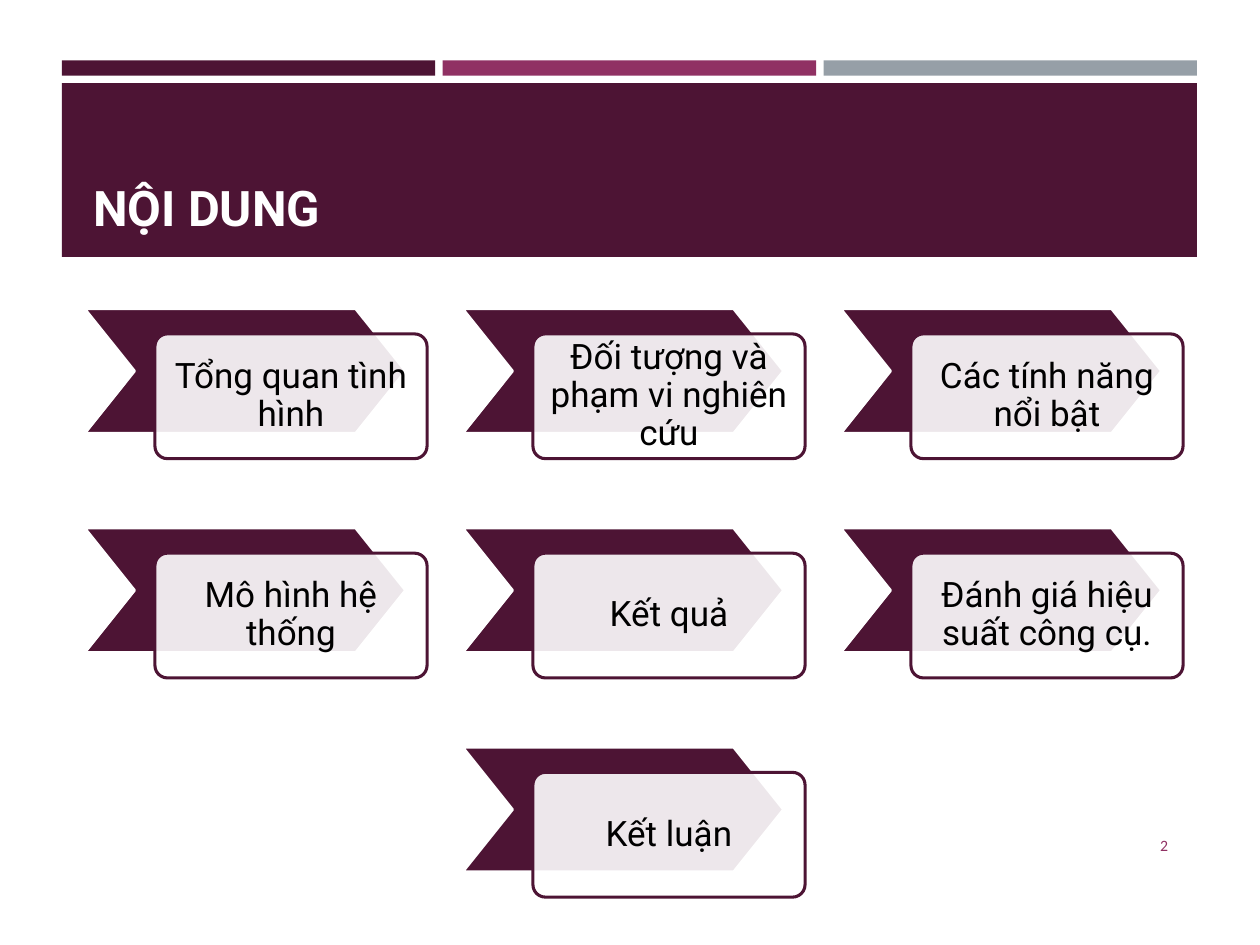
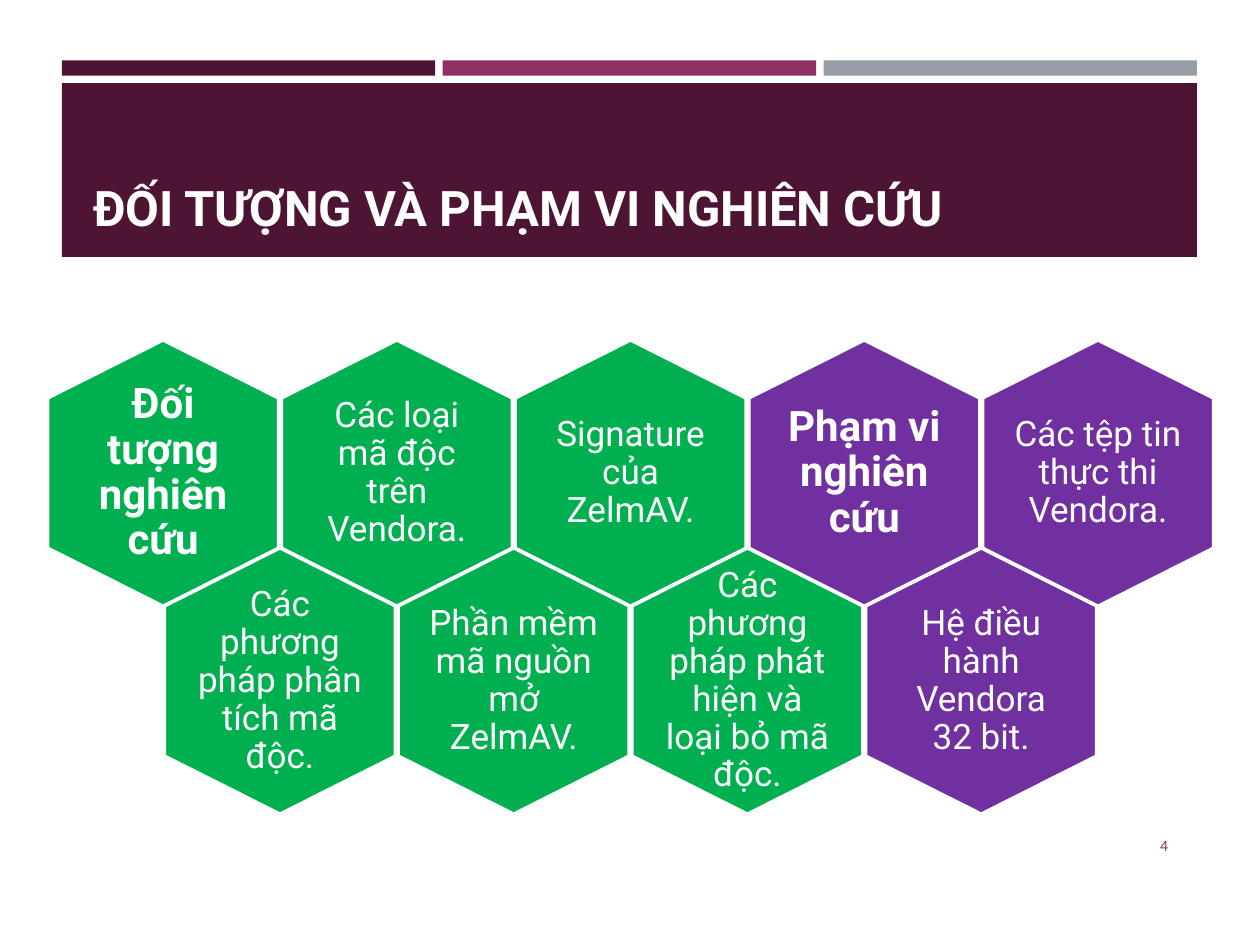
from dataclasses import dataclass

from lxml.etree import SubElement
from pptx import Presentation
from pptx.dml.color import RGBColor
from pptx.enum.shapes import MSO_SHAPE
from pptx.enum.text import MSO_ANCHOR, MSO_AUTO_SIZE, PP_ALIGN
from pptx.oxml.ns import qn
from pptx.util import Inches, Pt

COLORS = {
    "plum": "4D1434",
    "berry": "903163",
    "gray": "969FA7",
    "green": "00B050",
    "purple": "7030A0",
    "white": "FFFFFF",
    "black": "000000",
}
HEADING_FONT = "Roboto"
NUMBER_FONT = "Calibri"
OUTLINE_WIDTH = Pt(1.75)
TITLE_ONLY_LAYOUT = 5

# Header: three thin stripes above a title band
BAND_LEFT, BAND_WIDTH = 0.49, 9.01
STRIPE_GAP = 0.06
STRIPE_COLORS = ("plum", "berry", "gray")

# Agenda cards
AGENDA_LEFT, AGENDA_TOP = 0.67, 2.45
AGENDA_COLUMN_STEP, AGENDA_ROW_STEP = 3.0, 1.74
CARD_OFFSET_X, CARD_OFFSET_Y = 0.56, 0.2
AGENDA_HEIGHT = 0.99

# Honeycomb
HEXAGON_LEFT, HEXAGON_TOP = 0.38, 2.7
HEXAGON_WIDTH, HEXAGON_HEIGHT, HEXAGON_SHOULDER = 1.83, 2.11, 0.46
HEXAGON_COLUMN_STEP, HEXAGON_ROW_STEP = 1.855, 1.65


@dataclass(frozen=True)
class AgendaItem:
    text: str
    row: int
    column: int


@dataclass(frozen=True)
class Hexagon:
    text: str
    row: int
    column: int
    color: str = "green"
    heading: bool = False


AGENDA = (
    AgendaItem("Tổng quan tình hình", 0, 0),
    AgendaItem("Đối tượng và phạm vi nghiên cứu", 0, 1),
    AgendaItem("Các tính năng nổi bật", 0, 2),
    AgendaItem("Mô hình hệ thống", 1, 0),
    AgendaItem("Kết quả", 1, 1),
    AgendaItem("Đánh giá hiệu suất công cụ.", 1, 2),
    AgendaItem("Kết luận", 2, 1),
)

HONEYCOMB = (
    Hexagon("Đối tượng nghiên cứu", 0, 0, heading=True),
    Hexagon("Các loại mã độc trên Vendora.", 0, 1),
    Hexagon("Signature của ZelmAV.", 0, 2),
    Hexagon("Phạm vi nghiên cứu", 0, 3, "purple", heading=True),
    Hexagon("Các tệp tin thực thi Vendora.", 0, 4, "purple"),
    Hexagon("Các phương pháp phân tích mã độc.", 1, 0),
    Hexagon("Phần mềm mã nguồn mở ZelmAV.", 1, 1),
    Hexagon("Các phương pháp phát hiện và loại bỏ mã độc.", 1, 2),
    Hexagon("Hệ điều hành Vendora 32 bit.", 1, 3, "purple"),
)


def rgb(name: str) -> RGBColor:
    return RGBColor.from_string(COLORS[name])


def write_text(shape, text: str, *, size: float, color: str, font: str = HEADING_FONT,
               bold: bool = False, align=PP_ALIGN.CENTER, anchor=MSO_ANCHOR.MIDDLE,
               margin_x: float = 0.1, margin_y: float = 0.05,
               line_spacing: float = 1.0) -> None:
    frame = shape.text_frame
    frame.word_wrap = True
    frame.auto_size = MSO_AUTO_SIZE.NONE
    frame.vertical_anchor = anchor
    frame.margin_left = frame.margin_right = Inches(margin_x)
    frame.margin_top = frame.margin_bottom = Inches(margin_y)
    paragraph = frame.paragraphs[0]
    paragraph.alignment = align
    paragraph.line_spacing = line_spacing
    run = paragraph.add_run()
    run.text = text
    run.font.name = font
    run.font.size = Pt(size)
    run.font.bold = bold
    run.font.color.rgb = rgb(color)


def style_shape(shape, fill: str, line: str | None = None) -> None:
    shape.shadow.inherit = False
    shape.fill.solid()
    shape.fill.fore_color.rgb = rgb(fill)
    if line is None:
        shape.line.fill.background()
    else:
        shape.line.color.rgb = rgb(line)
        shape.line.width = OUTLINE_WIDTH


def add_box(slide, kind, left: float, top: float, width: float, height: float,
            fill: str, line: str | None = None):
    shape = slide.shapes.add_shape(kind, Inches(left), Inches(top),
                                   Inches(width), Inches(height))
    style_shape(shape, fill, line)
    return shape


def set_opacity(shape, percent: int) -> None:
    color = shape.fill._xPr.find(qn("a:solidFill"))[0]
    SubElement(color, qn("a:alpha"), val=str(percent * 1000))


def add_titled_slide(presentation, title_text: str, number: int):
    """Add a slide with the shared header, title and slide number."""
    slide = presentation.slides.add_slide(presentation.slide_layouts[TITLE_ONLY_LAYOUT])
    stripe_width = (BAND_WIDTH - 2 * STRIPE_GAP) / len(STRIPE_COLORS)
    for index, color in enumerate(STRIPE_COLORS):
        left = BAND_LEFT + index * (stripe_width + STRIPE_GAP)
        add_box(slide, MSO_SHAPE.RECTANGLE, left, 0.48, stripe_width, 0.12, color)
    add_box(slide, MSO_SHAPE.RECTANGLE, BAND_LEFT, 0.66, BAND_WIDTH, 1.38, "plum")

    title = slide.shapes.title
    title.left, title.top = Inches(0.64), Inches(0.75)
    title.width, title.height = Inches(8.74), Inches(1.18)
    write_text(title, title_text, size=28, color="white", bold=True,
               align=PP_ALIGN.LEFT, anchor=MSO_ANCHOR.BOTTOM)
    slide.shapes.element.append(title.element)  # bring the title in front of its band

    number_box = slide.shapes.add_textbox(Inches(8.53), Inches(6.51),
                                          Inches(0.84), Inches(0.4))
    write_text(number_box, str(number), size=9, color="berry", font=NUMBER_FONT,
               align=PP_ALIGN.RIGHT)
    return slide


def add_agenda_item(slide, item: AgendaItem) -> None:
    left = AGENDA_LEFT + item.column * AGENDA_COLUMN_STEP
    top = AGENDA_TOP + item.row * AGENDA_ROW_STEP
    chevron = add_box(slide, MSO_SHAPE.CHEVRON, left, top, 2.55, AGENDA_HEIGHT,
                      "plum", "white")
    chevron.adjustments[0] = 0.4
    card = add_box(slide, MSO_SHAPE.ROUNDED_RECTANGLE, left + CARD_OFFSET_X,
                   top + CARD_OFFSET_Y, 2.16, AGENDA_HEIGHT, "white", "plum")
    card.adjustments[0] = 0.1
    set_opacity(card, 90)
    write_text(card, item.text, size=20, color="black", margin_x=0.09,
               margin_y=0.09, line_spacing=0.9)


def add_hexagon(slide, hexagon: Hexagon) -> None:
    """Draw a pointed-top hexagon; odd rows are shifted by half a column."""
    left = HEXAGON_LEFT + (hexagon.column + hexagon.row / 2) * HEXAGON_COLUMN_STEP
    top = HEXAGON_TOP + hexagon.row * HEXAGON_ROW_STEP
    middle, right = left + HEXAGON_WIDTH / 2, left + HEXAGON_WIDTH
    bottom = top + HEXAGON_HEIGHT
    upper, lower = top + HEXAGON_SHOULDER, bottom - HEXAGON_SHOULDER
    corners = [(Inches(x), Inches(y)) for x, y in (
        (middle, top), (right, upper), (right, lower),
        (middle, bottom), (left, lower), (left, upper))]
    builder = slide.shapes.build_freeform(*corners[0])
    builder.add_line_segments(corners[1:], close=True)
    shape = builder.convert_to_shape()
    style_shape(shape, hexagon.color, "white")
    write_text(shape, hexagon.text, size=24 if hexagon.heading else 20,
               color="white", bold=hexagon.heading, margin_x=0.24,
               margin_y=0.27, line_spacing=0.9)


def main() -> None:
    presentation = Presentation()
    presentation.slide_width = Inches(10)
    presentation.slide_height = Inches(7.5)

    agenda_slide = add_titled_slide(presentation, "NỘI DUNG", 2)
    for item in AGENDA:
        add_agenda_item(agenda_slide, item)

    scope_slide = add_titled_slide(presentation, "ĐỐI TƯỢNG VÀ PHẠM VI NGHIÊN CỨU", 4)
    for hexagon in HONEYCOMB:
        add_hexagon(scope_slide, hexagon)

    presentation.save("out.pptx")


if __name__ == "__main__":
    main()
